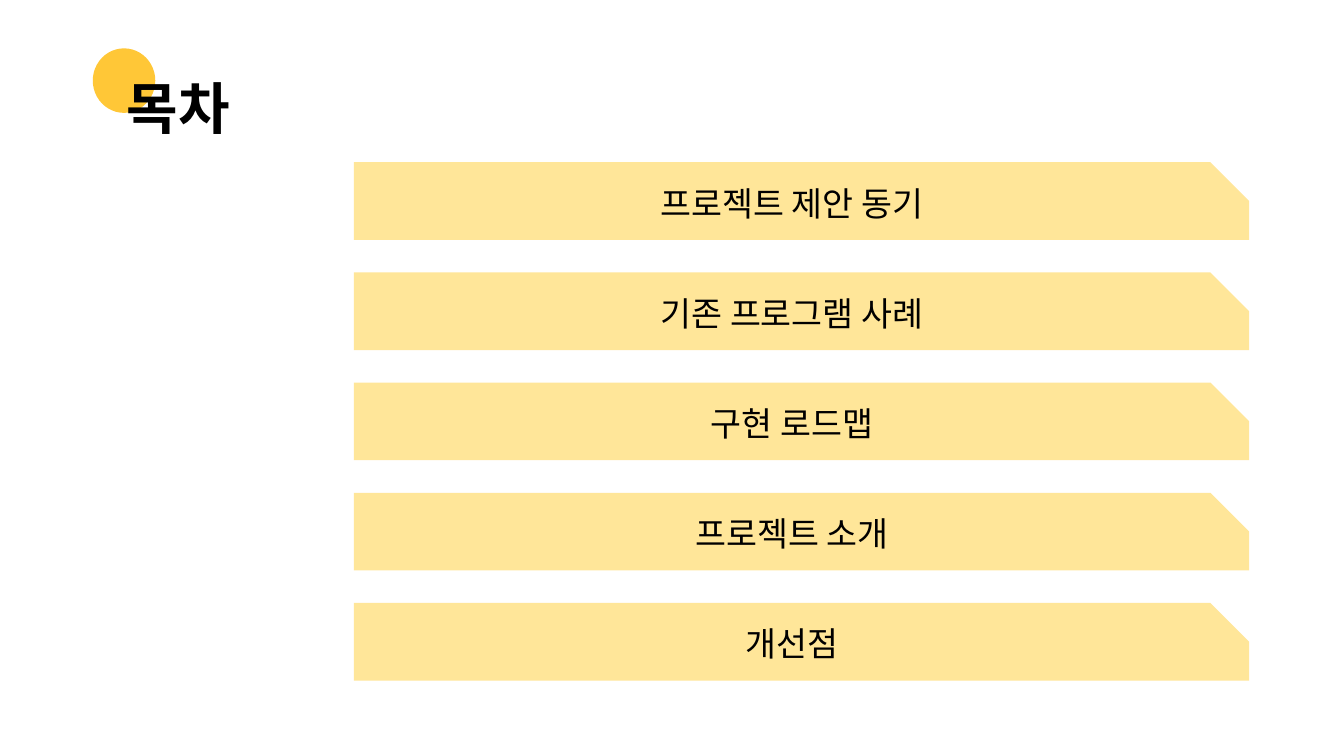
from dataclasses import dataclass

from lxml import etree
from pptx import Presentation
from pptx import util as u
from pptx.dml.color import RGBColor
from pptx.enum import shapes, text
from pptx.oxml import ns

# Content
TITLE = "목차"
SECTIONS = [
    "프로젝트 제안 동기",
    "기존 프로그램 사례",
    "구현 로드맵",
    "프로젝트 소개",
    "개선점",
]


@dataclass(frozen=True)
class Theme:
    font: str = "Noto Sans CJK KR"
    ink: str = "000000"
    accent: str = "FFC737"
    bar: str = "FFE699"
    title_size: int = 40
    bar_size: int = 24


THEME = Theme()

# Layout in inches: left, top, width, height
SLIDE_SIZE = (13.33, 7.5)
DOT_BOX = (0.92, 0.48, 0.62, 0.64)
TITLE_BOX = (1.16, 0.38, 11.5, 1.45)
BAR_LEFT, BAR_TOP, BAR_WIDTH, BAR_HEIGHT = 3.51, 1.61, 8.88, 0.77
BAR_PITCH = 1.093


def inches(box):
    return [u.Inches(value) for value in box]


def add_filled(slide, kind, box, color):
    shape = slide.shapes.add_shape(kind, *inches(box))
    shape.shadow.inherit = False
    shape.fill.solid()
    shape.fill.fore_color.rgb = RGBColor.from_string(color)
    shape.line.fill.background()
    return shape


def write(shape, words, size, bold=False, frame_format=None, paragraph_format=None):
    frame = shape.text_frame
    frame_values = {"word_wrap": True, "vertical_anchor": text.MSO_ANCHOR.MIDDLE}
    for name, value in (frame_values | (frame_format or {})).items():
        setattr(frame, name, value)
    paragraph = frame.paragraphs[0]
    for name, value in (paragraph_format or {}).items():
        setattr(paragraph, name, value)
    run = paragraph.add_run()
    run.text = words
    for name, value in {"size": u.Pt(size), "bold": bold, "name": THEME.font}.items():
        setattr(run.font, name, value)
    run.font.color.rgb = RGBColor.from_string(THEME.ink)
    # Korean glyphs take the East Asian typeface
    properties = run._r.get_or_add_rPr()
    etree.SubElement(properties, ns.qn("a:ea"), typeface=THEME.font)


def main():
    presentation = Presentation()
    presentation.slide_width, presentation.slide_height = inches(SLIDE_SIZE)
    slide = presentation.slides.add_slide(presentation.slide_layouts[6])

    # Heading with its dot
    add_filled(slide, shapes.MSO_SHAPE.OVAL, DOT_BOX, THEME.accent)
    heading = slide.shapes.add_textbox(*inches(TITLE_BOX))
    write(heading, TITLE, THEME.title_size, bold=True,
          paragraph_format={"line_spacing": 0.9})

    # One bar per section
    bar_frame = {
        "margin_left": u.Inches(0.1),
        "margin_right": u.Inches(0.1),
        "margin_top": 0,
        "margin_bottom": u.Inches(0.16),
    }
    for row, section in enumerate(SECTIONS):
        box = (BAR_LEFT, BAR_TOP + row * BAR_PITCH, BAR_WIDTH, BAR_HEIGHT)
        bar = add_filled(slide, shapes.MSO_SHAPE.SNIP_1_RECTANGLE, box, THEME.bar)
        bar.adjustments[0] = 0.5
        write(bar, section, THEME.bar_size, frame_format=bar_frame,
              paragraph_format={"alignment": text.PP_ALIGN.CENTER})

    presentation.save("out.pptx")


if __name__ == "__main__":
    main()
